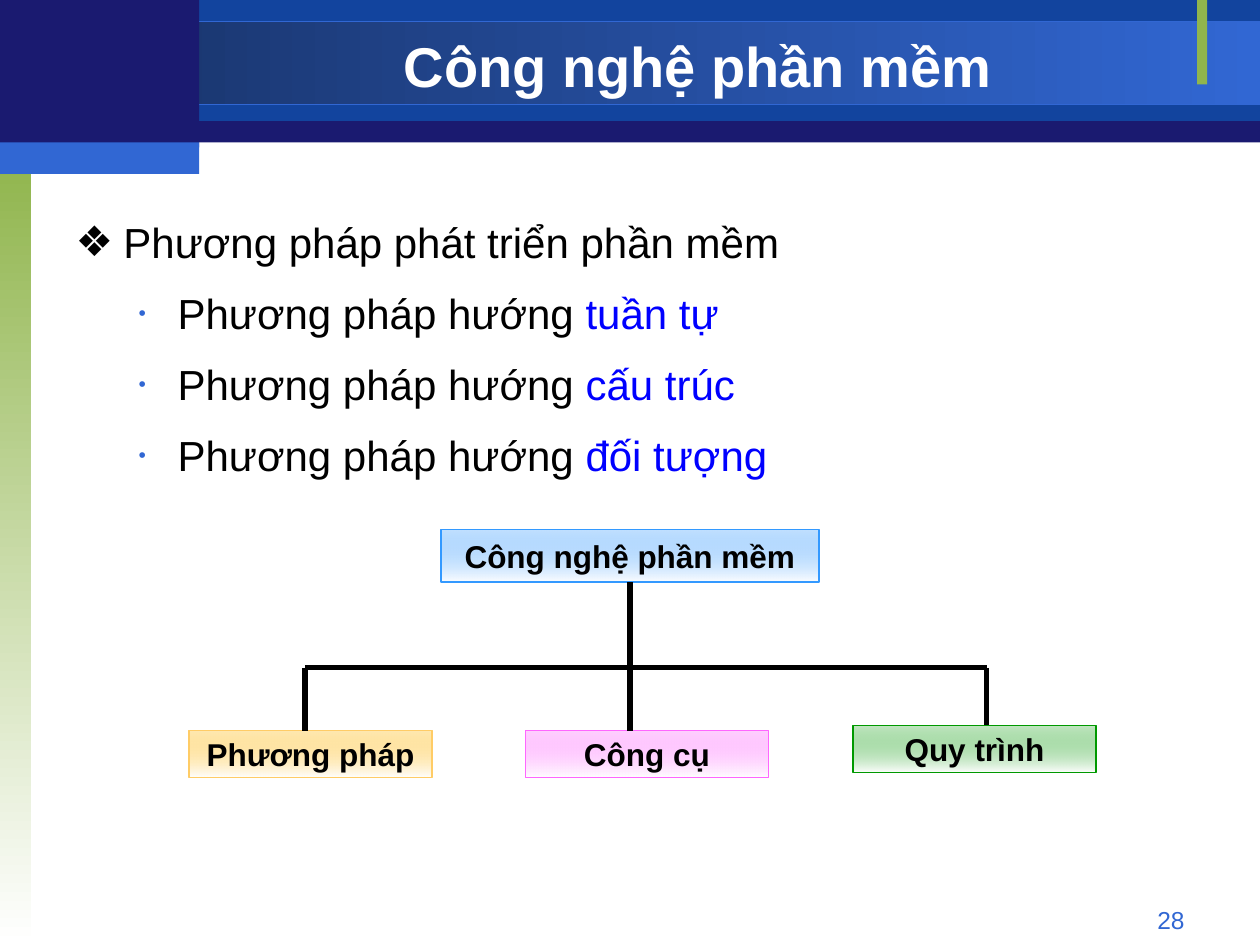
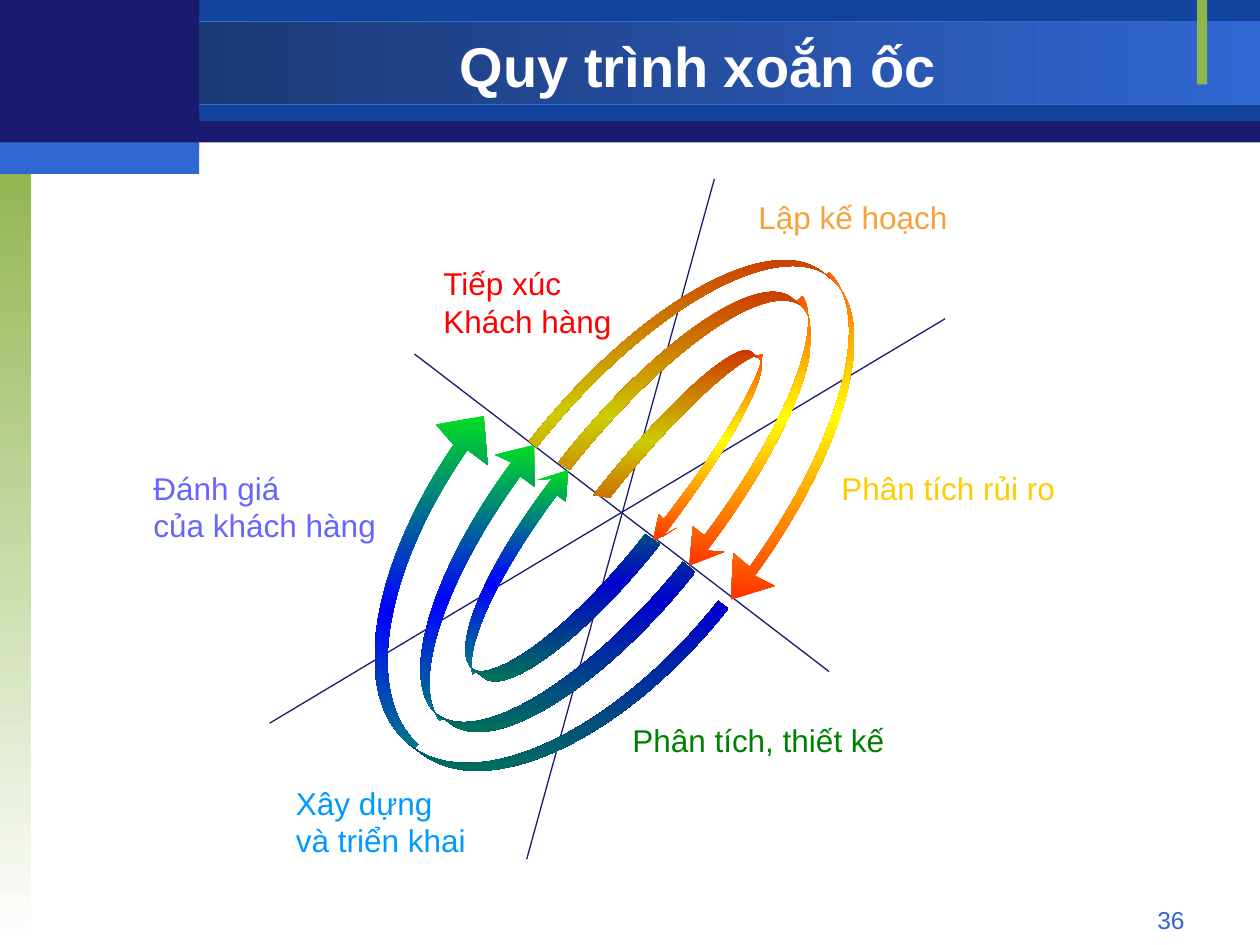
import pptx
import pptx.dml.color
import pptx.enum.shapes
import pptx.enum.text
import pptx.oxml
import pptx.oxml.ns
import pptx.util

NAVY, DEEP, BLUE, GREEN = "1A1A70", "12449E", "3167D3", "90B54D"
WHITE, BLACK, MARK = "FFFFFF", "000000", "0000FF"
FONT = "Arial"
RECT = pptx.enum.shapes.MSO_SHAPE.RECTANGLE
LINE = pptx.enum.shapes.MSO_CONNECTOR.STRAIGHT
ALIGN = pptx.enum.text.PP_ALIGN
MIDDLE = pptx.enum.text.MSO_ANCHOR.MIDDLE
NS = pptx.oxml.ns.nsdecls("a")
qn = pptx.oxml.ns.qn


def paint(text):
    return pptx.dml.color.RGBColor.from_string(text)


def write(frame, text, size=18, color=BLACK, bold=False, align=ALIGN.LEFT):
    """Fill a frame; each line is a string or a list of (words, colour)."""
    for i, line in enumerate([text] if isinstance(text, str) else text):
        para = frame.paragraphs[0] if i == 0 else frame.add_paragraph()
        para.alignment = align
        for words, hue in [(line, color)] if isinstance(line, str) else line:
            run = para.add_run()
            run.text = words
            run.font.name = FONT
            run.font.size = pptx.util.Pt(size)
            run.font.bold = bold
            run.font.color.rgb = paint(hue)


prs = pptx.Presentation()
prs.slide_width = pptx.util.Inches(10)
prs.slide_height = pptx.util.Inches(7.5)
cell = prs.slide_width // 10  # grid of 10 columns by 7.5 rows
grads = []  # (shape, [(place, colour, opacity)], angle)
lines = []  # (connector, colour, width)

# Slides with titles and page numbers
master = prs.slide_master
head = master.placeholders[0]
head.left, head.top, head.width, head.height = [
    round(v * cell) for v in (1.58, 0.23, 7.92, 0.58)]
pages = []
for layout, title, number in [(1, "Công nghệ phần mềm", "28"),
                              (5, "Quy trình xoắn ốc", "36")]:
    page = prs.slides.add_slide(prs.slide_layouts[layout])
    write(page.shapes.title.text_frame, title, size=32, color=WHITE,
          bold=True, align=ALIGN.CENTER)
    page.shapes.title.text_frame.vertical_anchor = MIDDLE
    box = page.shapes.add_textbox(
        *[round(v * cell) for v in (7.17, 7.13, 2.33, 0.27)])
    box.text_frame.word_wrap = True
    write(box.text_frame, number, size=14, color=BLUE, align=ALIGN.RIGHT)
    pages.append(page)
tree, spiral = pages

# Shared bands, placed behind everything on the master
bands = [
    ((0, 0.01, 10, 1.12), NAVY, None),
    ((1.58, 0, 8.42, 0.96), DEEP, None),
    ((0, 0.17, 10, 0.66), ("173062", BLUE), 0),
    ((0, 1.25, 0.25, 6.25), (GREEN, WHITE), 270),
    ((9.5, 0, 0.08, 0.67), GREEN, None),
    ((0, 0, 1.58, 1.17), NAVY, None),
    ((0, 1.13, 1.58, 0.25), BLUE, None),
]
for i, (spot, tone, angle) in enumerate(bands):
    band = tree.shapes.add_shape(RECT, *[round(v * cell) for v in spot])
    band.shadow.inherit = False
    band.line.fill.background()
    if angle is None:
        band.fill.solid()
        band.fill.fore_color.rgb = paint(tone)
    else:
        grads.append((band, [(0, tone[0], 100), (100, tone[1], 100)], angle))
    if angle == 0:
        band.line.color.rgb = paint(BLUE)
        band.line.width = pptx.util.Pt(0.75)
    band._element.nvSpPr.cNvPr.set("id", str(20 + i))
    master.shapes._spTree.insert(2 + i, band._element)

# Slide 1: bullet list
body = tree.placeholders[1]
body.left, body.top, body.width, body.height = [
    round(v * cell) for v in (0.5, 1.59, 9, 5.58)]
stem = "Phương pháp hướng "
write(body.text_frame, ["Phương pháp phát triển phần mềm"] + [
    [(stem, BLACK), (kind, MARK)]
    for kind in ("tuần tự", "cấu trúc", "đối tượng")],
    size=24, align=ALIGN.JUSTIFY)
for i, para in enumerate(body.text_frame.paragraphs):
    para.level = min(i, 1)
    para.line_spacing = 1.2
    para.space_before = pptx.util.Pt(6 if i else 0)
    left, hang, sign, hue, share = (
        (0.81, 0.31, "•", BLUE, 50) if i else (0.38, 0.38, "❖", BLACK, 100))
    prop = para._p.get_or_add_pPr()
    prop.set("marL", str(round(left * cell)))
    prop.set("indent", str(round(-hang * cell)))
    for part in (f'<a:buClr {NS}><a:srgbClr val="{hue}"/></a:buClr>',
                 f'<a:buSzPct {NS} val="{share * 1000}"/>',
                 f'<a:buFont {NS} typeface="{FONT}"/>',
                 f'<a:buChar {NS} char="{sign}"/>'):
        prop.append(pptx.oxml.parse_xml(part))

# Slide 1: boxes of the tree
boxes = []
for text, spot, tone, edge, dense in [
        ("Công nghệ phần mềm", (3.5, 4.2, 3, 0.42), "3399FF", "3399FF", 30),
        ("Phương pháp", (1.5, 5.8, 1.93, 0.37), "FFB601", "FFCC66", 30),
        ("Công cụ", (4.17, 5.8, 1.93, 0.37), "FF66FF", "FF66FF", 30),
        ("Quy trình", (6.77, 5.76, 1.93, 0.37), "009900", "009900", 23)]:
    box = tree.shapes.add_shape(RECT, *[round(v * cell) for v in spot])
    box.shadow.inherit = False
    box.line.color.rgb = paint(edge)
    box.line.width = pptx.util.Pt(0.75)
    box.text_frame.word_wrap = False
    box.text_frame.vertical_anchor = MIDDLE
    write(box.text_frame, text, bold=True, align=ALIGN.CENTER)
    grads.append((box, [(0, tone, dense), (100, WHITE, 100)], 270))
    boxes.append(box)

# Slide 1: branches, and slide 2: axes
for page, hue, width, ends in [
        (tree, BLACK, 3, [(5, 4.62, 5, 5.8), (2.42, 5.3, 7.83, 5.3),
                          (2.42, 5.3, 2.42, 5.8), (7.83, 5.3, 7.83, 5.75)]),
        (spiral, NAVY, 0.75, [(2.14, 5.74, 7.5, 2.53), (5.67, 1.42, 4.18, 6.82),
                              (3.29, 2.81, 6.58, 5.33)])]:
    for spot in ends:
        link = page.shapes.add_connector(LINE, *[round(v * cell) for v in spot])
        lines.append((link, hue, width))
lines[0][0].begin_connect(boxes[0], 2)
for link, hue, width in lines:
    link.line.color.rgb = paint(hue)
    link.line.width = pptx.util.Pt(width)
    link._element.spPr.append(pptx.oxml.parse_xml(f"<a:effectLst {NS}/>"))

# Slide 2: curved arrows, outer to inner; C takes three points, L takes one
WARM = "FF3300", "FFFF00", "FF3300"
COOL = "00DD22", "0000FF", "00AA55"
arrows = [
    (WARM, [(4.2, 3.5), (5.05, 2.42), (6.1, 1.82), (6.53, 2.16), (6.59, 2.21),
            (6.99, 2.52), (6.74, 3.54), (5.99, 4.57), (6.15, 4.65),
            (5.8, 4.76), (5.82, 4.39), (5.95, 4.5), (6.67, 3.5), (6.94, 2.51),
            (6.58, 2.16), (6.56, 2.18), (6.11, 1.9), (5.09, 2.5), (4.26, 3.55)]),
    (COOL, [(5.78, 4.83), (4.95, 5.88), (3.85, 6.39), (3.33, 5.97), (3.25, 5.91),
            (2.77, 5.53), (2.93, 4.52), (3.6, 3.53), (3.46, 3.37),
            (3.84, 3.3), (3.87, 3.69), (3.71, 3.57), (3.05, 4.52), (2.88, 5.51),
            (3.32, 5.91), (3.29, 5.94), (3.83, 6.3), (4.89, 5.79), (5.7, 4.77)]),
    (WARM, [(4.43, 3.67), (5.17, 2.73), (6, 2.15), (6.28, 2.36), (6.35, 2.42),
            (6.61, 2.63), (6.29, 3.47), (5.61, 4.37), (5.75, 4.38),
            (5.47, 4.49), (5.5, 4.18), (5.59, 4.25), (6.22, 3.42), (6.54, 2.62),
            (6.37, 2.35), (6.31, 2.4), (5.98, 2.28), (5.21, 2.86), (4.52, 3.73)]),
    (COOL, [(5.52, 4.54), (4.78, 5.47), (3.91, 6.01), (3.57, 5.74), (3.47, 5.67),
            (3.16, 5.42), (3.41, 4.55), (4.06, 3.67), (3.93, 3.61),
            (4.24, 3.53), (4.24, 3.86), (4.13, 3.78), (3.53, 4.6), (3.26, 5.42),
            (3.49, 5.72), (3.52, 5.7), (3.9, 5.87), (4.72, 5.33), (5.42, 4.46)]),
    (WARM, [(4.71, 3.93), (5.28, 3.2), (5.84, 2.7), (5.96, 2.79), (6.02, 2.84),
            (6.14, 2.93), (5.8, 3.55), (5.26, 4.26), (5.37, 4.19),
            (5.18, 4.3), (5.23, 4.08), (5.27, 4.12), (5.7, 3.57), (6.01, 3.05),
            (6.06, 2.81), (5.98, 2.83), (5.76, 2.93), (5.29, 3.38), (4.84, 3.95)]),
    (COOL, [(5.24, 4.32), (4.66, 5.05), (4.03, 5.53), (3.84, 5.38), (3.75, 5.31),
            (3.57, 5.16), (3.84, 4.51), (4.38, 3.8), (4.27, 3.81),
            (4.51, 3.73), (4.49, 3.98), (4.42, 3.93), (3.97, 4.53), (3.69, 5.11),
            (3.75, 5.35), (3.8, 5.33), (4.07, 5.33), (4.62, 4.88), (5.12, 4.24)]),
]
for tones, dots in arrows:
    dots = [(round(x * cell), round(y * cell)) for x, y in dots]
    pen = spiral.shapes.build_freeform(*dots[0])
    pen.add_line_segments(dots[1:], close=True)
    curve = pen.convert_to_shape()
    curve.shadow.inherit = False
    curve.line.fill.background()
    grads.append((curve, [(50 * n, tone, 100)
                          for n, tone in enumerate(tones)], 270))

    # Bend the outline, then add the far half again in a darker shade
    trails = curve._element.spPr.find(qn("a:custGeom")).find(qn("a:pathLst"))
    plain = trails[0]
    wide, high = plain.get("w"), plain.get("h")
    knots = [f'<a:pt x="{p.get("x")}" y="{p.get("y")}"/>'
             for p in plain.iter(qn("a:pt"))]
    trails.remove(plain)
    for steps, rest, shade in [("CLCLLLLCLC", knots[:19], "norm"),
                               ("CLLC", knots[:5] + knots[15:19], "darkenLess")]:
        parts = [f"<a:moveTo>{rest.pop(0)}</a:moveTo>"]
        for step in steps:
            tag, count = ("cubicBezTo", 3) if step == "C" else ("lnTo", 1)
            parts.append(f"<a:{tag}>{''.join(rest[:count])}</a:{tag}>")
            rest = rest[count:]
        trails.append(pptx.oxml.parse_xml(
            f'<a:path {NS} w="{wide}" h="{high}" fill="{shade}">'
            f'{"".join(parts)}<a:close/></a:path>'))

# Slide 2: labels
for text, spot, hue in [
        (["Tiếp xúc", "Khách hàng"], (3.42, 2.05, 1.63, 0.7), "FF0000"),
        ("Lập kế hoạch", (5.92, 1.52, 1.8, 0.4), "F6A23C"),
        ("Phân tích rủi ro", (6.58, 3.67, 1.99, 0.4), "FFCC00"),
        ("Phân tích, thiết kế", (4.92, 5.67, 2.3, 0.4), "008000"),
        (["Xây dựng", "và triển khai"], (2.25, 6.17, 1.65, 0.7), "0099FF"),
        (["Đánh giá", "của khách hàng"], (1.12, 3.67, 2.06, 0.7), "6666FF")]:
    label = spiral.shapes.add_textbox(*[round(v * cell) for v in spot])
    label.text_frame.word_wrap = True
    write(label.text_frame, text, color=hue)

# Gradient fills
for shape, stops, angle in grads:
    shape.fill.gradient()
    shape.fill.gradient_angle = angle
    ramp = shape._element.spPr.find(qn("a:gradFill")).find(qn("a:gsLst"))
    for old in list(ramp):
        ramp.remove(old)
    for place, tone, dense in stops:
        ramp.append(pptx.oxml.parse_xml(
            f'<a:gs {NS} pos="{place * 1000}"><a:srgbClr val="{tone}">'
            f'<a:alpha val="{dense * 1000}"/></a:srgbClr></a:gs>'))

prs.save("out.pptx")
